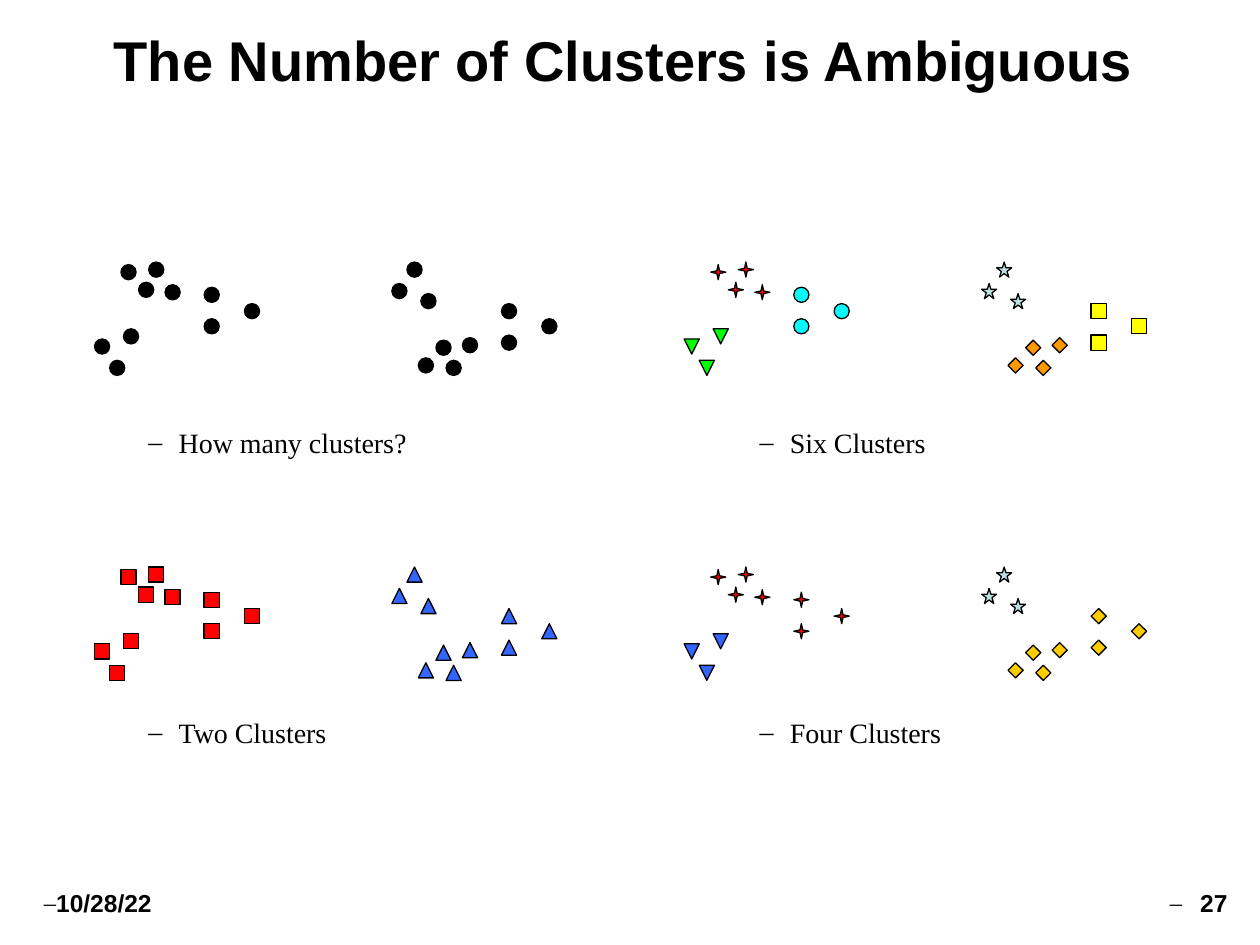
from dataclasses import dataclass

from lxml.etree import SubElement
from pptx import Presentation
from pptx.dml.color import RGBColor
from pptx.enum.shapes import MSO_SHAPE
from pptx.enum.text import MSO_ANCHOR, PP_ALIGN
from pptx.oxml.ns import qn
from pptx.util import Inches, Pt


@dataclass(frozen=True)
class Theme:
    heading: str = "Arial"
    body: str = "Times New Roman"
    title_size: int = 32
    caption_size: int = 16
    footer_size: int = 14
    black: str = "000000"
    red: str = "FF0000"
    blue: str = "3366FF"
    green: str = "00FF00"
    cyan: str = "00FFFF"
    pale: str = "BBE0E3"
    orange: str = "FF9900"
    yellow: str = "FFFF00"
    gold: str = "FFCC00"


THEME = Theme()


def add_text(shapes, box, text, font, align=PP_ALIGN.LEFT, anchor=MSO_ANCHOR.TOP, hang=None):
    """Add one line of text; hang is the dash's hanging indent, None for no dash."""
    tf = shapes.add_textbox(*map(Inches, box)).text_frame
    tf.word_wrap = True
    tf.vertical_anchor = anchor
    p = tf.paragraphs[0]
    p.alignment = align
    if hang is not None:
        pPr = p._p.get_or_add_pPr()
        pPr.set("marL", str(Inches(hang)))
        pPr.set("indent", str(-Inches(hang)))
        SubElement(pPr, qn("a:buFont")).set("typeface", THEME.body)
        SubElement(pPr, qn("a:buChar")).set("char", "–")
    r = p.add_run()
    r.text = text
    for name, value in font.items():
        setattr(r.font, name, value)
    r.font.color.rgb = RGBColor.from_string(THEME.black)


def add_marker(shapes, x, y, kind, color, flipped):
    sp = shapes.add_shape(kind, Inches(x), Inches(y), Inches(MARKER), Inches(MARKER))
    sp.shadow.inherit = False
    sp.fill.solid()
    sp.fill.fore_color.rgb = RGBColor.from_string(color)
    sp.line.color.rgb = RGBColor.from_string(THEME.black)
    sp.line.width = Pt(0.75)
    if flipped:
        sp._element.spPr.get_or_add_xfrm().set("flipV", "1")


MARKER = 0.12
HANG = 0.24
CLOUD_HEIGHT = 0.78
CLOUD_SHIFT = 2.36

# Offsets of the three point clumps in the left cloud; the right cloud mirrors them.
CLUMPS = [
    [(0.56, 0.18), (0.21, 0.02), (0.43, 0), (0.35, 0.16)],
    [(0.23, 0.53), (0, 0.61), (0.12, 0.78)],
    [(0.87, 0.2), (1.19, 0.33), (0.87, 0.45)],
]

DOT = (MSO_SHAPE.OVAL, THEME.black)
RED_SQUARE = (MSO_SHAPE.RECTANGLE, THEME.red)
BLUE_TRIANGLE = (MSO_SHAPE.ISOSCELES_TRIANGLE, THEME.blue)
RED_STAR = (MSO_SHAPE.STAR_4_POINT, THEME.red)
PALE_STAR = (MSO_SHAPE.STAR_5_POINT, THEME.pale)
GOLD_DIAMOND = (MSO_SHAPE.DIAMOND, THEME.gold)

# Caption, column, row, then the marker of each clump in the left and right cloud
PANELS = [
    ("How many clusters?", 0, 0, [DOT] * 3, [DOT] * 3),
    ("Six Clusters", 1, 0,
     [RED_STAR, (MSO_SHAPE.ISOSCELES_TRIANGLE, THEME.green), (MSO_SHAPE.OVAL, THEME.cyan)],
     [(MSO_SHAPE.DIAMOND, THEME.orange), PALE_STAR, (MSO_SHAPE.RECTANGLE, THEME.yellow)]),
    ("Two Clusters", 0, 1, [RED_SQUARE] * 3, [BLUE_TRIANGLE] * 3),
    ("Four Clusters", 1, 1,
     [RED_STAR, (MSO_SHAPE.FLOWCHART_EXTRACT, THEME.blue), RED_STAR],
     [GOLD_DIAMOND, PALE_STAR, GOLD_DIAMOND]),
]
CLOUD_LEFT, CLOUD_TOP = (0.75, 5.43), (2.08, 4.5)
CAPTION_LEFT, CAPTION_TOP = (1.08, 5.93), (3.33, 5.63)

prs = Presentation()
prs.slide_width, prs.slide_height = Inches(10), Inches(7.5)
s = prs.slides.add_slide(prs.slide_layouts[6])

title_font = {"name": THEME.heading, "size": Pt(THEME.title_size), "bold": True}
caption_font = {"name": THEME.body, "size": Pt(THEME.caption_size)}
footer_font = {"name": THEME.heading, "size": Pt(THEME.footer_size), "bold": True}

add_text(s.shapes, (0.42, 0.17, 9.06, 0.6), "The Number of Clusters is Ambiguous",
         title_font, PP_ALIGN.CENTER, MSO_ANCHOR.MIDDLE)

for caption, col, row, left_markers, right_markers in PANELS:
    shapes = s.shapes.add_group_shape().shapes
    x0, y0 = CLOUD_LEFT[col], CLOUD_TOP[row]
    for clump, left, right in zip(CLUMPS, left_markers, right_markers):
        for dx, dy in clump:
            add_marker(shapes, x0 + dx, y0 + dy, *left, flipped=True)
            add_marker(shapes, x0 + CLOUD_SHIFT + dx, y0 + CLOUD_HEIGHT - dy, *right, flipped=False)
    add_text(shapes, (CAPTION_LEFT[col], CAPTION_TOP[row], 2.5, 0.37), caption,
             caption_font, hang=HANG)

add_text(s.shapes, (0.25, 7, 2.58, 0.35), "10/28/22", footer_font, hang=0)
add_text(s.shapes, (7.17, 7, 2.67, 0.35), "27", footer_font, PP_ALIGN.RIGHT, hang=HANG)

prs.save("out.pptx")
